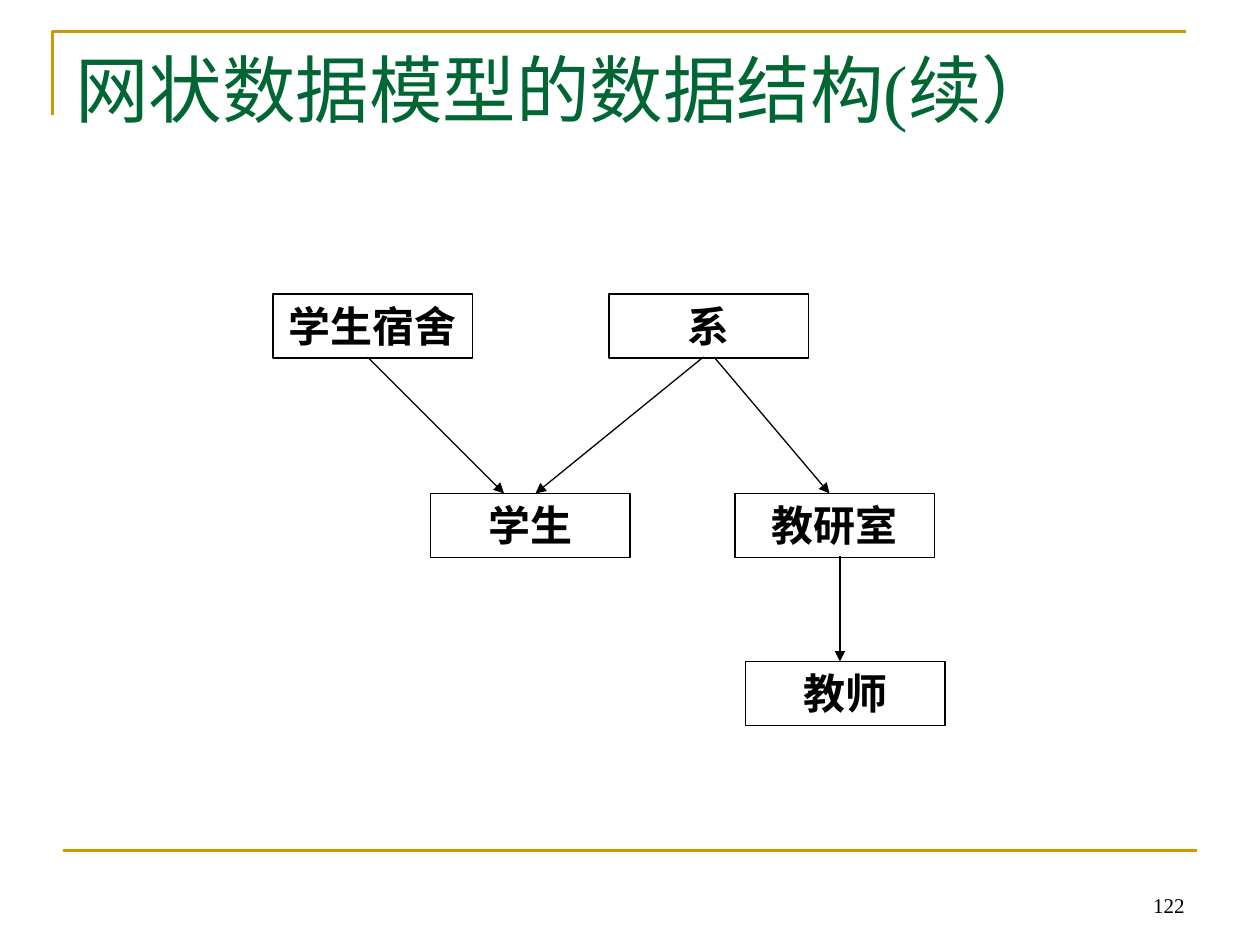
from typing import NamedTuple

from pptx import Presentation
from pptx.dml.color import RGBColor
from pptx.enum.lang import MSO_LANGUAGE_ID as Lang
from pptx.enum.shapes import MSO_CONNECTOR as Conn, MSO_SHAPE as Kind
from pptx.enum.text import MSO_ANCHOR as Anchor, PP_ALIGN as Align
from pptx.oxml.ns import qn
from pptx.util import Emu, Pt
from lxml.etree import SubElement

PX = 7620
FONT = "Times New Roman"
BLACK = RGBColor(0x00, 0x00, 0x00)
GREEN = RGBColor(0x00, 0x66, 0x33)
GOLD = RGBColor(0xCC, 0x99, 0x00)
BOX_W, BOX_H = 190, 61


class Node(NamedTuple):
    text: str
    x: int
    y: int


class Link(NamedTuple):
    x1: int
    y1: int
    x2: int
    y2: int


NODES = [
    Node("学生宿舍", 260, 280),
    Node("学生", 410, 470),
    Node("教研室", 700, 470),
    Node("系", 580, 280),
    Node("教师", 710, 630),
]
LINKS = [
    Link(350, 340, 480, 470),
    Link(670, 340, 510, 470),
    Link(680, 340, 790, 470),
    Link(800, 530, 800, 630),
]


def px(*vals: int) -> list[Emu]:
    return [Emu(val * PX) for val in vals]


def write(shape, text: str, size: int, color: RGBColor, align: Align,
          anchor: Anchor, bold: bool = False) -> None:
    frame = shape.text_frame
    frame.text = text
    frame.word_wrap = True
    frame.vertical_anchor = anchor
    para = frame.paragraphs[0]
    para.alignment = align
    font = para.runs[0].font
    font.name = FONT
    font.size = Pt(size)
    font.bold = bold
    font.color.rgb = color
    font.language_id = Lang.SIMPLIFIED_CHINESE


def add_node(shapes, node: Node) -> None:
    box = shapes.add_shape(Kind.RECTANGLE, *px(node.x, node.y, BOX_W, BOX_H))
    box.shadow.inherit = False
    box.fill.background()
    box.line.color.rgb = BLACK
    box.line.width = Pt(0.75)
    write(box, node.text, 24, BLACK, Align.CENTER, Anchor.TOP, True)


def add_link(shapes, link: Link, color: RGBColor, width: float,
             arrow: bool = False) -> None:
    line = shapes.add_connector(Conn.STRAIGHT, *px(*link))
    line.line.color.rgb = color
    line.line.width = Pt(width)
    if arrow:
        SubElement(line.line._get_or_add_ln(), qn("a:tailEnd"), type="triangle")
    SubElement(line._element.spPr, qn("a:effectLst"))


def add_frame(shapes) -> None:
    pen = shapes.build_freeform(50, 110, scale=PX)
    pen.add_line_segments([(50, 30), (1130, 30)], close=False)
    edge = pen.convert_to_shape()
    edge.shadow.inherit = False
    edge.fill.background()
    edge.line.color.rgb = GOLD
    edge.line.width = Pt(1.5)
    add_link(shapes, Link(60, 810, 1140, 810), GOLD, 1.5)


def main() -> None:
    deck = Presentation()
    deck.slide_width, deck.slide_height = px(1200, 900)
    shapes = deck.slides.add_slide(deck.slide_layouts[6]).shapes
    add_frame(shapes)
    title = shapes.add_textbox(*px(60, 36, 1080, 150))
    write(title, "网状数据模型的数据结构(续）", 42, GREEN, Align.LEFT, Anchor.TOP)
    for node in NODES:
        add_node(shapes, node)
    for link in LINKS:
        add_link(shapes, link, BLACK, 0.75, True)
    page = shapes.add_textbox(*px(860, 820, 280, 60))
    write(page, "122", 12, BLACK, Align.RIGHT, Anchor.BOTTOM)
    deck.save("out.pptx")


if __name__ == "__main__":
    main()
